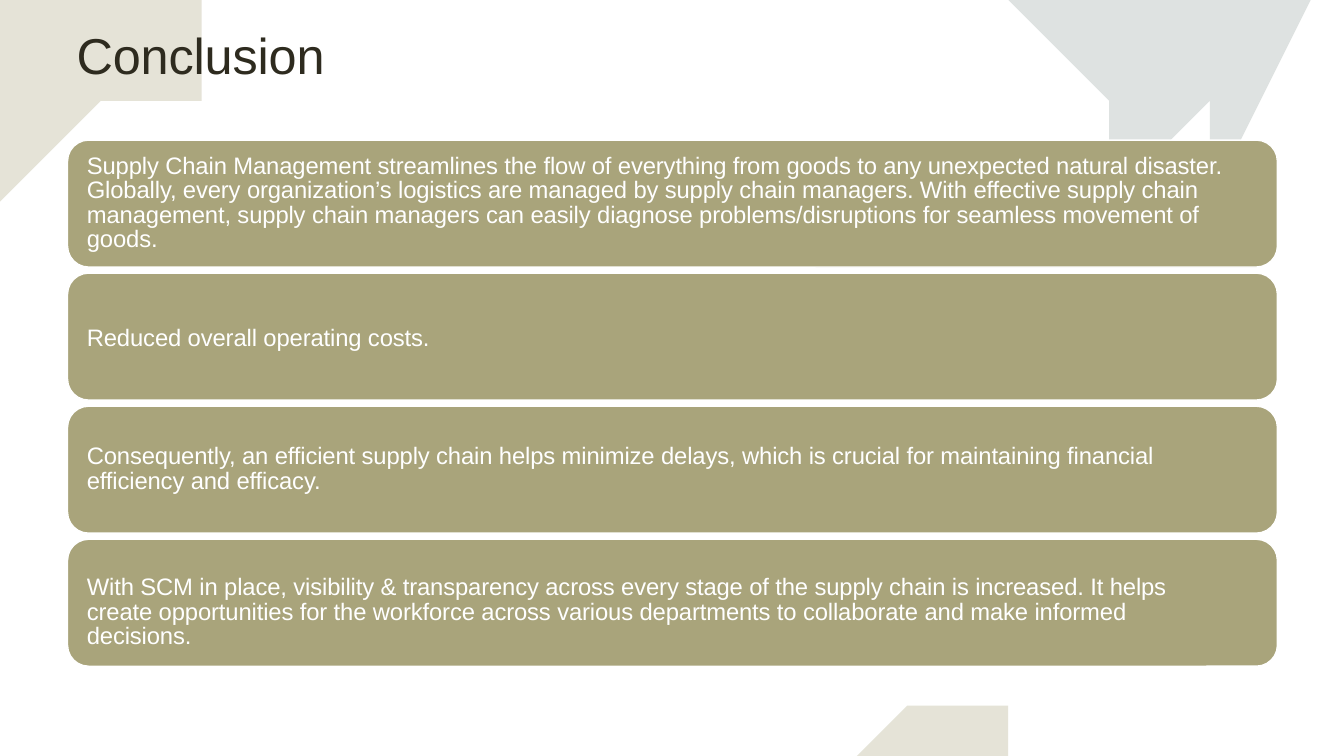
from dataclasses import dataclass

from lxml.etree import SubElement
from pptx import Presentation
from pptx.dml.color import RGBColor as Rgb
from pptx.enum.shapes import MSO_SHAPE as Shape
from pptx.enum.text import MSO_ANCHOR as Anchor, MSO_AUTO_SIZE as Fit, PP_ALIGN as Align
from pptx.oxml.ns import qn
from pptx.util import Inches, Pt


@dataclass(frozen=True)
class Theme:
    font: str = "Arial"
    olive: str = "A9A47B"
    gray: str = "94A29D"
    white: str = "FFFFFF"
    dark: str = "2E2B1F"
    head: float = 36
    body: float = 17
    lead: float = 17.5
    alpha: int = 30


DECOR = [
    ("olive", [(1.83, 0.3), (1.53, 0), (0, 0), (0, 1.3), (0.41, 1.71),
               (1.07, 1.06), (1.33, 1.31), (1.83, 0.81), (1.57, 0.56)]),
    ("gray", [(13.33, 0), (10.23, 0), (11.1, 0.82), (10.83, 1.09),
              (11.36, 1.62), (11.64, 1.34), (11.93, 1.61), (13.33, 0.28)]),
    ("olive", [(10.35, 7.5), (9.54, 6.69), (8.96, 7.26), (8.76, 7.05), (8.31, 7.5)]),
]

# Text, right inset and top inset of each card
CARDS = [
    ("Supply Chain Management streamlines the flow of everything from goods to any "
     "unexpected natural disaster. Globally, every organization’s logistics are managed "
     "by supply chain managers. With effective supply chain management, supply chain "
     "managers can easily diagnose problems/disruptions for seamless movement of goods.",
     0.42, 0),
    ("Reduced overall operating costs.", 0.42, 0.04),
    ("Consequently, an efficient supply chain helps minimize delays, which is crucial "
     "for maintaining financial efficiency and efficacy.", 1.14, 0),
    ("With SCM in place, visibility & transparency across every stage of the supply "
     "chain is increased. It helps create opportunities for the workforce across various "
     "departments to collaborate and make informed decisions.", 0.42, 0.2),
]


class Deck:
    def __init__(self, theme):
        self.theme = theme
        self.prs = Presentation()
        self.prs.slide_width, self.prs.slide_height = Inches(13.33), Inches(7.5)
        self.slide = self.prs.slides.add_slide(self.prs.slide_layouts[5])

    def paint(self, shape, color):
        shape.shadow.inherit = False
        shape.fill.solid()
        shape.fill.fore_color.rgb = Rgb.from_string(color)

    def label(self, shape, text, size, color, pads, anchor):
        """Set left-aligned text; pads are left, top, right and bottom insets."""
        frame = shape.text_frame
        frame.text = text
        frame.word_wrap = True
        frame.auto_size = Fit.NONE
        frame.vertical_anchor = anchor
        (frame.margin_left, frame.margin_top,
         frame.margin_right, frame.margin_bottom) = map(Inches, pads)
        para = frame.paragraphs[0]
        para.alignment = Align.LEFT
        run = para.runs[0]
        run.font.name, run.font.size = self.theme.font, Pt(size)
        run.font.color.rgb = Rgb.from_string(color)
        run.font._element.set("spc", "-10")
        return para

    def decor(self, color, points):
        pen = self.slide.shapes.build_freeform(*points[0], scale=Inches(1))
        pen.add_line_segments(points[1:], close=True)
        shape = pen.convert_to_shape()
        self.paint(shape, color)
        shape.line.fill.background()
        tint = shape.element.spPr.find(qn("a:solidFill"))[0]
        SubElement(tint, qn("a:alpha"), val=str(self.theme.alpha * 1000))

    def title(self, text):
        """Fill the title and bring it in front of the decor."""
        shape = self.slide.shapes.title
        shape.left, shape.top = Inches(0.75), Inches(0.2)
        shape.width, shape.height = Inches(2.5), Inches(0.63)
        self.label(shape, text, self.theme.head, self.theme.dark,
                   (0.01, 0.04, 0, 0), Anchor.TOP)
        shape.element.getparent().append(shape.element)

    def card(self, top, text, right, drop):
        shape = self.slide.shapes.add_shape(
            Shape.ROUNDED_RECTANGLE, Inches(0.67), Inches(top), Inches(12), Inches(1.26))
        self.paint(shape, self.theme.olive)
        shape.line.color.rgb = Rgb.from_string(self.theme.white)
        shape.line.width = Pt(1)
        para = self.label(shape, text, self.theme.body, self.theme.white,
                          (0.13, drop, right, 0), Anchor.MIDDLE)
        para.line_spacing = Pt(self.theme.lead)


def main():
    theme = Theme()
    deck = Deck(theme)
    for color, points in DECOR:
        deck.decor(getattr(theme, color), points)
    deck.title("Conclusion")
    for row, (text, right, drop) in enumerate(CARDS):
        deck.card(1.39 + 1.32 * row, text, right, drop)
    deck.prs.save("out.pptx")


if __name__ == "__main__":
    main()
